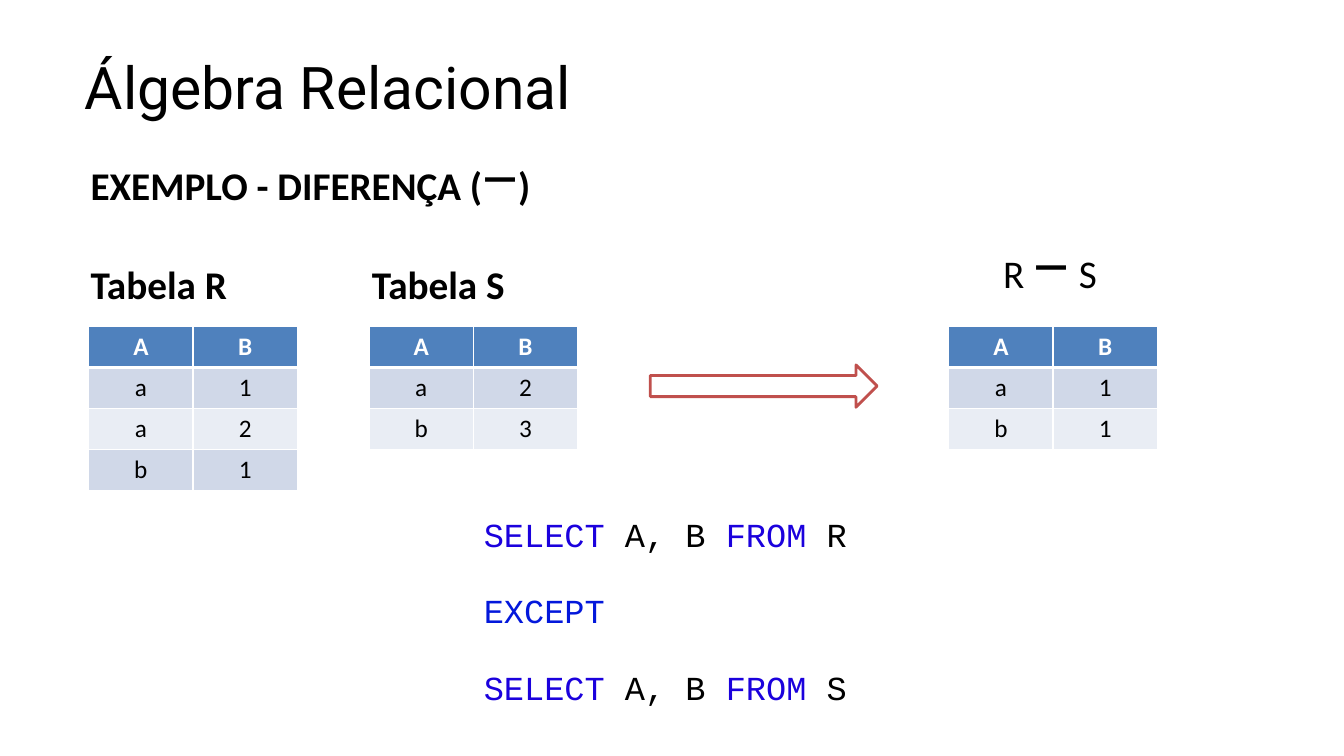
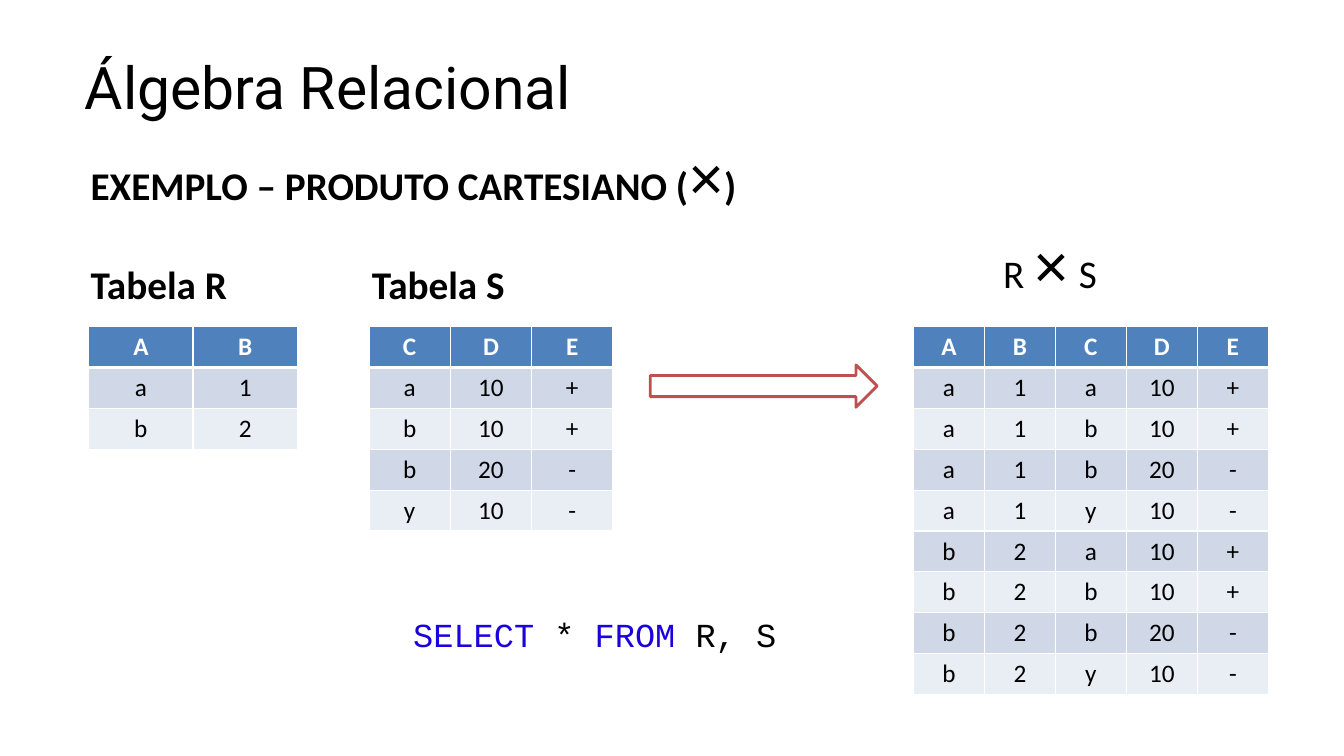
"""Build two relational algebra slides: difference and Cartesian product."""
from dataclasses import dataclass, replace
from itertools import product

from lxml import etree
from pptx import Presentation
from pptx import util as u
from pptx.dml import color
from pptx.enum import shapes, text
from pptx.oxml import ns

Row = tuple[str, ...]


@dataclass(frozen=True)
class Theme:
    black: str = "000000"
    white: str = "FFFFFF"
    header: str = "4F81BD"
    bands: tuple[str, str] = ("D0D8E8", "E9EDF4")
    arrow: str = "C0504D"
    keyword: str = "1B01DD"
    operator: str = "0318DB"
    title_font: str = "Roboto"
    body_font: str = "Calibri"
    sign_font: str = "Arial"
    space_font: str = "Times New Roman"
    code_font: str = "Courier New"
    title_size: int = 42
    sign_size: int = 44
    body_size: int = 28
    code_size: int = 24
    cell_size: int = 18
    thin: int = 1
    thick: int = 3
    arrow_line: int = 2


THEME = Theme()
TABLE_TOP = 3.24
ROW_HEIGHT = 3.65 / 9
R_LEFT, S_LEFT = 0.88, 3.66
S_TAB = 2.79


@dataclass(frozen=True)
class Frame:
    left: float
    top: float
    width: float
    height: float

    def lengths(self) -> tuple[u.Length, ...]:
        return tuple(u.Inches(side) for side in (self.left, self.top, self.width, self.height))


@dataclass(frozen=True)
class Span:
    words: str
    font: str = THEME.body_font
    size: int = THEME.body_size
    tint: str = THEME.black
    bold: bool = False


@dataclass(frozen=True)
class Line:
    spans: tuple[Span, ...]
    before: float = 0
    spacing: float = 1.0
    tab: float = 0
    centred: bool = False


@dataclass(frozen=True)
class Relation:
    header: Row
    rows: tuple[Row, ...]
    left: float = 0
    width: float = 2.07


@dataclass(frozen=True)
class Example:
    heading: str
    heading_width: float
    sign: str
    r: Relation
    s: Relation
    result: Relation
    code: tuple[Line, ...]
    code_frame: Frame


def rgb(value: str) -> color.RGBColor:
    return color.RGBColor.from_string(value)


def write_line(para, line: Line) -> None:
    para.line_spacing = line.spacing
    para.space_before = u.Pt(line.before)
    if line.centred:
        para.alignment = text.PP_ALIGN.CENTER
    if line.tab:
        tabs = etree.SubElement(para._p.get_or_add_pPr(), ns.qn("a:tabLst"))
        etree.SubElement(tabs, ns.qn("a:tab"), pos=str(u.Inches(line.tab)), algn="l")
    for span in line.spans:
        run = para.add_run()
        run.text = span.words
        run.font.name = span.font
        run.font.size = u.Pt(span.size)
        run.font.bold = span.bold
        run.font.color.rgb = rgb(span.tint)


def add_text(page, frame: Frame, lines: tuple[Line, ...],
             insets: tuple[float, float, float, float] = (0.1, 0.05, 0.1, 0.05)) -> None:
    body = page.shapes.add_textbox(*frame.lengths()).text_frame
    body.word_wrap = True
    body.auto_size = text.MSO_AUTO_SIZE.SHAPE_TO_FIT_TEXT
    (body.margin_left, body.margin_top,
     body.margin_right, body.margin_bottom) = map(u.Inches, insets)
    for index, line in enumerate(lines):
        write_line(body.add_paragraph() if index else body.paragraphs[0], line)


def set_borders(cell, top: int, bottom: int) -> None:
    properties = cell._tc.get_or_add_tcPr()
    widths = {"L": THEME.thin, "R": THEME.thin, "T": top, "B": bottom}
    for index, (side, width) in enumerate(widths.items()):
        border = etree.Element(ns.qn(f"a:ln{side}"), w=str(u.Pt(width)))
        fill = etree.SubElement(border, ns.qn("a:solidFill"))
        etree.SubElement(fill, ns.qn("a:srgbClr"), val=THEME.white)
        properties.insert(index, border)


def add_relation(page, relation: Relation) -> None:
    rows = (relation.header, *relation.rows)
    columns = len(relation.header)
    frame = Frame(relation.left, TABLE_TOP, relation.width, ROW_HEIGHT * len(rows))
    table = page.shapes.add_table(len(rows), columns, *frame.lengths()).table
    for column in table.columns:
        column.width = u.Inches(relation.width / columns)
    for y, row in enumerate(rows):
        is_header = y == 0
        table.rows[y].height = u.Inches(ROW_HEIGHT)
        for x, value in enumerate(row):
            cell = table.cell(y, x)
            cell.fill.solid()
            cell.fill.fore_color.rgb = rgb(THEME.header if is_header else THEME.bands[(y - 1) % 2])
            set_borders(cell, THEME.thick if y == 1 else THEME.thin,
                        THEME.thick if is_header else THEME.thin)
            span = Span(value, size=THEME.cell_size, bold=is_header,
                        tint=THEME.white if is_header else THEME.black)
            write_line(cell.text_frame.paragraphs[0], Line((span,), centred=True))


def add_arrow(page) -> None:
    arrow = page.shapes.add_shape(shapes.MSO_SHAPE.RIGHT_ARROW,
                                  *Frame(6.45, 3.62, 2.25, 0.42).lengths())
    arrow.shadow.inherit = False
    arrow.fill.solid()
    arrow.fill.fore_color.rgb = rgb(THEME.white)
    arrow.line.color.rgb = rgb(THEME.arrow)
    arrow.line.width = u.Pt(THEME.arrow_line)


def code_span(words: str, tint: str = THEME.black) -> Span:
    return Span(words, THEME.code_font, THEME.code_size, tint)


def select(columns: str, source: str, before: float = 0) -> Line:
    return Line((code_span("SELECT", THEME.keyword), code_span(f" {columns} "),
                 code_span("FROM", THEME.keyword), code_span(f" {source}")), before, 0.93)


def add_example(deck, example: Example) -> None:
    page = deck.slides.add_slide(deck.slide_layouts[6])
    sign = Span(example.sign, THEME.sign_font, THEME.sign_size)
    title = Span("Álgebra Relacional", THEME.title_font, THEME.title_size)
    add_text(page, example.code_frame, example.code)
    add_text(page, Frame(0.83, 0.49, 9.02, 0.72), (Line((title,), 1.1),), (0.01, 0.01, 0, 0))
    add_text(page, Frame(0.8, 1.33, example.heading_width, 1.78), (
        Line((Span(f"{example.heading} (", bold=True), sign, Span(")", bold=True))),
        Line((Span("Tabela R\tTabela S", bold=True),), before=34, tab=S_TAB),
    ))
    add_relation(page, example.r)
    add_relation(page, example.s)
    add_text(page, Frame(9.85, 2.27, 1.33, 0.79), (
        Line((Span("R "), sign, Span(" ", THEME.space_font), Span("S")), spacing=0.93),
    ))
    add_arrow(page)
    add_relation(page, example.result)


def difference_example() -> Example:
    r = Relation(("A", "B"), (("a", "1"), ("a", "2"), ("b", "1")), R_LEFT)
    s = Relation(("A", "B"), (("a", "2"), ("b", "3")), S_LEFT)
    result = replace(r, rows=tuple(row for row in r.rows if row not in s.rows), left=9.41)
    gap = 28
    code = (select("A, B", "R"),
            Line((code_span("EXCEPT", THEME.operator),), gap, 0.93),
            select("A, B", "S", gap))
    return Example("EXEMPLO - DIFERENÇA", 6.37, "−", r, s, result, code,
                   Frame(4.7, 5.08, 3.82, 1.98))


def product_example() -> Example:
    r = Relation(("A", "B"), (("a", "1"), ("b", "2")), R_LEFT)
    s = Relation(("C", "D", "E"), (("a", "10", "+"), ("b", "10", "+"),
                                   ("b", "20", "-"), ("y", "10", "-")), S_LEFT, 2.42)
    pairs = tuple(left + right for left, right in product(r.rows, s.rows))
    result = Relation(r.header + s.header, pairs, 9.06, 3.52)
    return Example("EXEMPLO – PRODUTO CARTESIANO", 7.72, "×", r, s, result,
                   (select("*", "R, S"),), Frame(4, 6.08, 3.82, 0.48))


def main() -> None:
    deck = Presentation()
    deck.slide_width, deck.slide_height = u.Inches(13.33), u.Inches(7.5)
    for example in (difference_example(), product_example()):
        add_example(deck, example)
    deck.save("out.pptx")


main()
